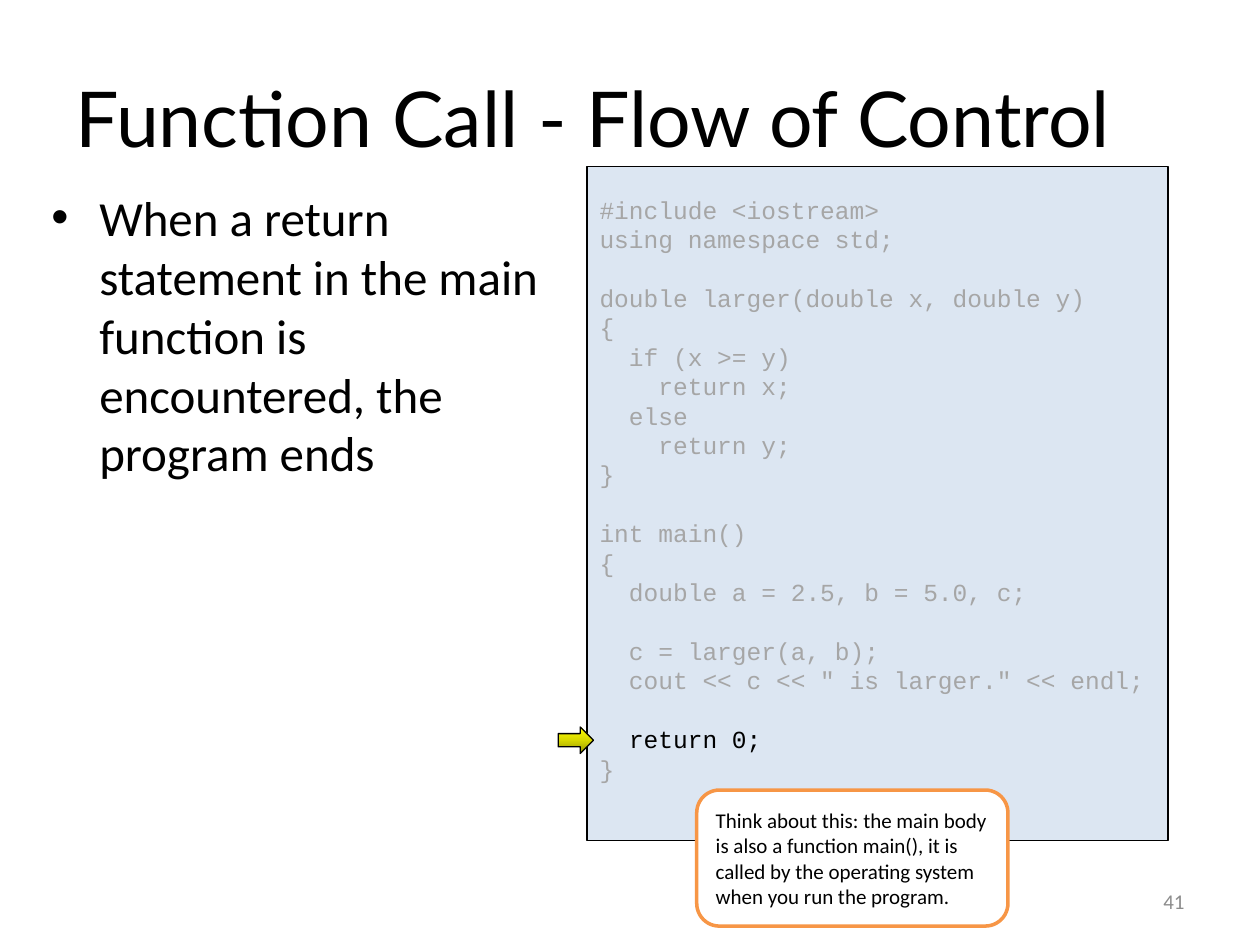
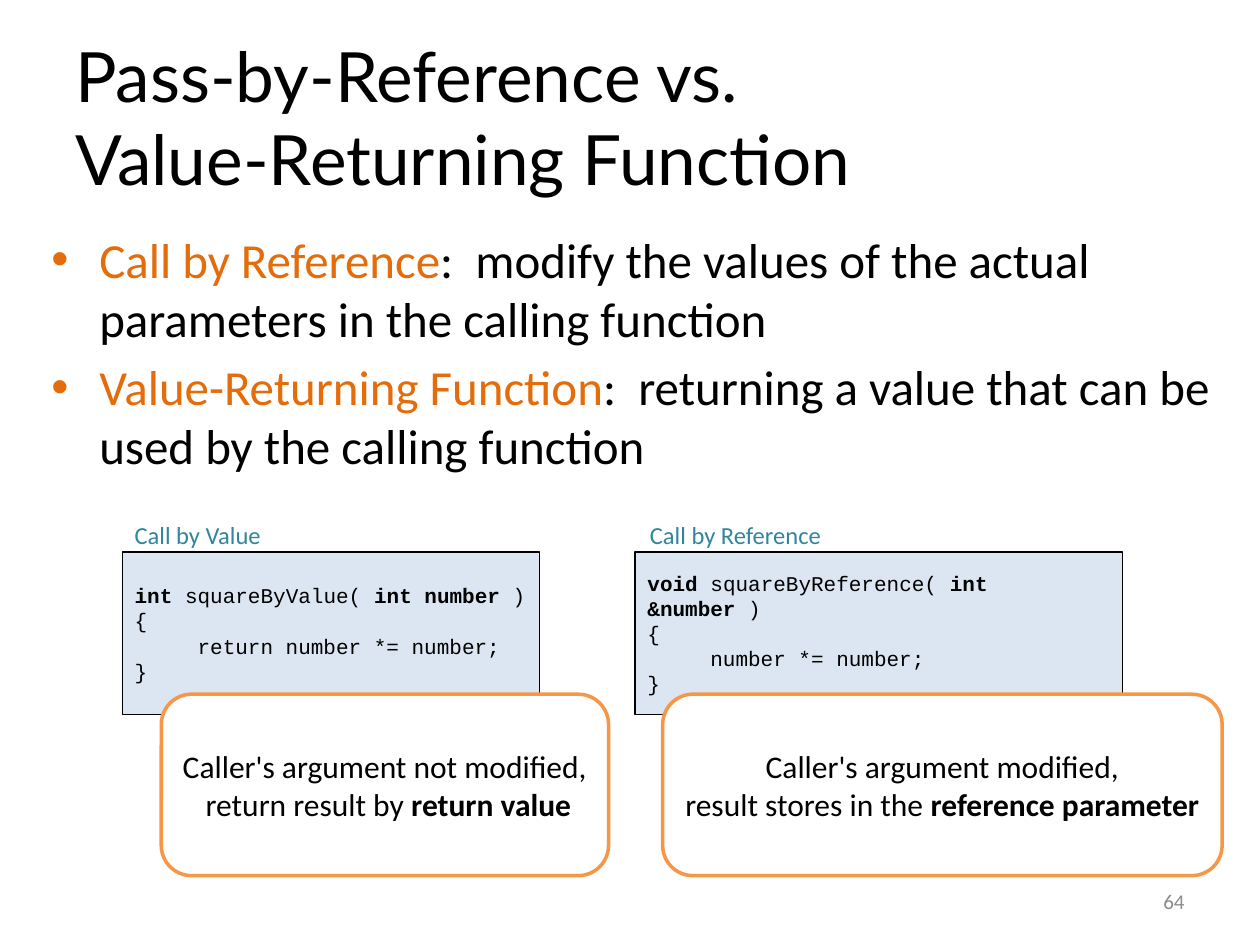
from copy import deepcopy

from pptx import Presentation
from pptx.dml.color import RGBColor
from pptx.enum.shapes import MSO_SHAPE as SHAPE
from pptx.enum.text import MSO_ANCHOR as ANCHOR, PP_ALIGN as ALIGN
from pptx.oxml.ns import qn
from pptx.oxml.xmlchemy import OxmlElement
from pptx.util import Inches, Pt

BLACK = RGBColor(0x00, 0x00, 0x00)
WHITE = RGBColor(0xFF, 0xFF, 0xFF)
CODE_FILL = RGBColor(0xDC, 0xE6, 0xF2)
DIMMED = RGBColor(0xA6, 0xA6, 0xA6)
NUMBER_GREY = RGBColor(0x8C, 0x8C, 0x8C)
CALLOUT_LINE = RGBColor(0xF7, 0x96, 0x46)
TERM_ORANGE = RGBColor(0xE4, 0x6C, 0x0A)
LABEL_TEAL = RGBColor(0x31, 0x85, 0x9C)
ARROW_STOPS = [
    (0, RGBColor(0x97, 0x97, 0x00)),
    (0.5, RGBColor(0xD7, 0xD7, 0x00)),
    (1, RGBColor(0xFF, 0xFF, 0x00)),
]
TITLE_FONT, BODY_FONT, CODE_FONT = "Lato", "Calibri", "Courier New"


def add_box(page, place, kind=None, fill=None, line=None, line_width=0.75):
    """Add a preset shape, or a plain text box when no kind is given."""
    place = [Inches(length) for length in place]
    if kind is None:
        return page.shapes.add_textbox(*place)
    box = page.shapes.add_shape(kind, *place)
    box.shadow.inherit = False
    if fill is not None:
        box.fill.solid()
        box.fill.fore_color.rgb = fill
    box.line.color.rgb = line
    box.line.width = Pt(line_width)
    return box


def write(box, lines, size, font=BODY_FONT, color=BLACK, mark=None,
          align=ALIGN.LEFT, anchor=ANCHOR.MIDDLE):
    """Write one paragraph a line; **spans** are bold, or in the mark colour.

    An empty line becomes space before the next paragraph.
    """
    frame = box.text_frame
    frame.word_wrap = True
    frame.vertical_anchor = anchor
    paragraph, gap, first = frame.paragraphs[0], 0, True
    for line in lines:
        if not line:
            gap += 1.2 * size
            continue
        if not first:
            paragraph = frame.add_paragraph()
        first = False
        paragraph.alignment = align
        paragraph.space_before = Pt(gap)
        gap = 0
        paragraph.font.size = Pt(size)
        paragraph.font.name = font
        paragraph.font.color.rgb = color
        for index, text in enumerate(line.split("**")):
            if not text:
                continue
            span = paragraph.add_run()
            span.text = text
            marked = index % 2 == 1
            span.font.color.rgb = mark if marked and mark else color
            if marked and not mark:
                span.font.bold = True


deck = Presentation()
deck.slide_width, deck.slide_height = Inches(10), Inches(7.5)

# What both slides share: title, bulleted body, slide number
slides = [
    (["Function Call - Flow of Control"], 44, (0.31, 1.44, 4.06, 5.37),
     ["When a return statement in the main function is encountered, "
      "the program ends"], 6, "41"),
    (["Pass-by-Reference vs.", "Value-Returning Function"], 39.6,
     (0.31, 1.77, 9.39, 5.04),
     ["**Call by Reference**:  modify the values of the actual parameters "
      "in the calling function",
      "**Value-Returning Function**:  returning a value that can be used "
      "by the calling function"], 5.6, "64"),
]
pages = []
for title, title_size, body_place, points, point_gap, number in slides:
    page = deck.slides.add_slide(deck.slide_layouts[6])
    pages.append(page)
    write(add_box(page, (0.5, 0.3, 9, 1.25)), title, title_size, TITLE_FONT)

    body = add_box(page, body_place)
    write(body, points, 28, mark=TERM_ORANGE, anchor=ANCHOR.TOP)
    for paragraph in body.text_frame.paragraphs:
        paragraph.space_before = Pt(point_gap)
        properties = paragraph._p.get_or_add_pPr()
        properties.set("marL", str(Inches(0.38)))
        properties.set("indent", str(-Inches(0.38)))
        bullet_font = OxmlElement("a:buFont")
        bullet_font.set("typeface", "Arial")
        bullet = OxmlElement("a:buChar")
        bullet.set("char", "•")
        defaults = properties.find(qn("a:defRPr"))
        defaults.addprevious(bullet_font)
        defaults.addprevious(bullet)

    write(add_box(page, (7.17, 6.95, 2.33, 0.4)), [number], 12,
          color=NUMBER_GREY, align=ALIGN.RIGHT)

flow_page, compare_page = pages

# Flow of control: program listing with the current statement pointed out
program = """#include <iostream>
using namespace std;

double larger(double x, double y)
{
  if (x >= y)
    return x;
  else
    return y;
}

int main()
{
  double a = 2.5, b = 5.0, c;

  c = larger(a, b);
  cout << c << " is larger." << endl;

  **return 0;**
}"""
listing = add_box(flow_page, (4.66, 1.32, 4.61, 5.35), SHAPE.RECTANGLE,
                  CODE_FILL, BLACK)
listing.text_frame.margin_bottom = Inches(0.28)
write(listing, program.split("\n"), 14, CODE_FONT, DIMMED, mark=BLACK)

arrow = add_box(flow_page, (4.43, 5.77, 0.28, 0.21), SHAPE.RIGHT_ARROW,
                line=BLACK)
arrow.fill.gradient()
arrow.fill.gradient_angle = 90
stop_list = arrow._element.find(".//" + qn("a:gsLst"))
stop_list.insert(1, deepcopy(stop_list[0]))
for stop, (position, color) in zip(arrow.fill.gradient_stops, ARROW_STOPS):
    stop.position = position
    stop.color.rgb = color

hint = add_box(flow_page, (5.53, 6.27, 2.47, 1.08), SHAPE.ROUNDED_RECTANGLE,
               WHITE, CALLOUT_LINE, 2)
write(hint, ["Think about this: the main body is also a function main(), it is "
             "called by the operating system when you run the program."], 12)

# Comparison: label, code and remark for each way of passing
comparisons = [
    ("Call by Value", 0.97, 0.97, 3.31,
     ["**int **squareByValue( **int number **)", "{",
      "     return number *= number;", "}"],
     1.28, 3.55,
     ["Caller's argument not modified,", " return result by **return value**"]),
    ("Call by Reference", 5.06, 5.04, 3.87,
     ["**void **squareByReference( **int &number** )", "{",
      "     number *= number;", "}"],
     5.26, 4.44,
     ["Caller's argument modified,",
      "result stores in the **reference parameter**"]),
]
for (label, label_left, code_left, code_width, code,
     remark_left, remark_width, remark) in comparisons:
    code_box = add_box(compare_page, (code_left, 4.38, code_width, 1.29),
                       SHAPE.RECTANGLE, CODE_FILL, BLACK)
    write(code_box, code, 12, CODE_FONT)
    write(add_box(compare_page, (label_left, 4.08, 2.74, 0.34)), [label], 14,
          color=LABEL_TEAL, anchor=ANCHOR.TOP)
    remark_box = add_box(compare_page, (remark_left, 5.51, remark_width, 1.44),
                         SHAPE.ROUNDED_RECTANGLE, WHITE, CALLOUT_LINE, 2)
    remark_box.text_frame.margin_left = Inches(0.04)
    remark_box.text_frame.margin_right = Inches(0.04)
    write(remark_box, remark, 18, align=ALIGN.CENTER)

deck.save("out.pptx")
